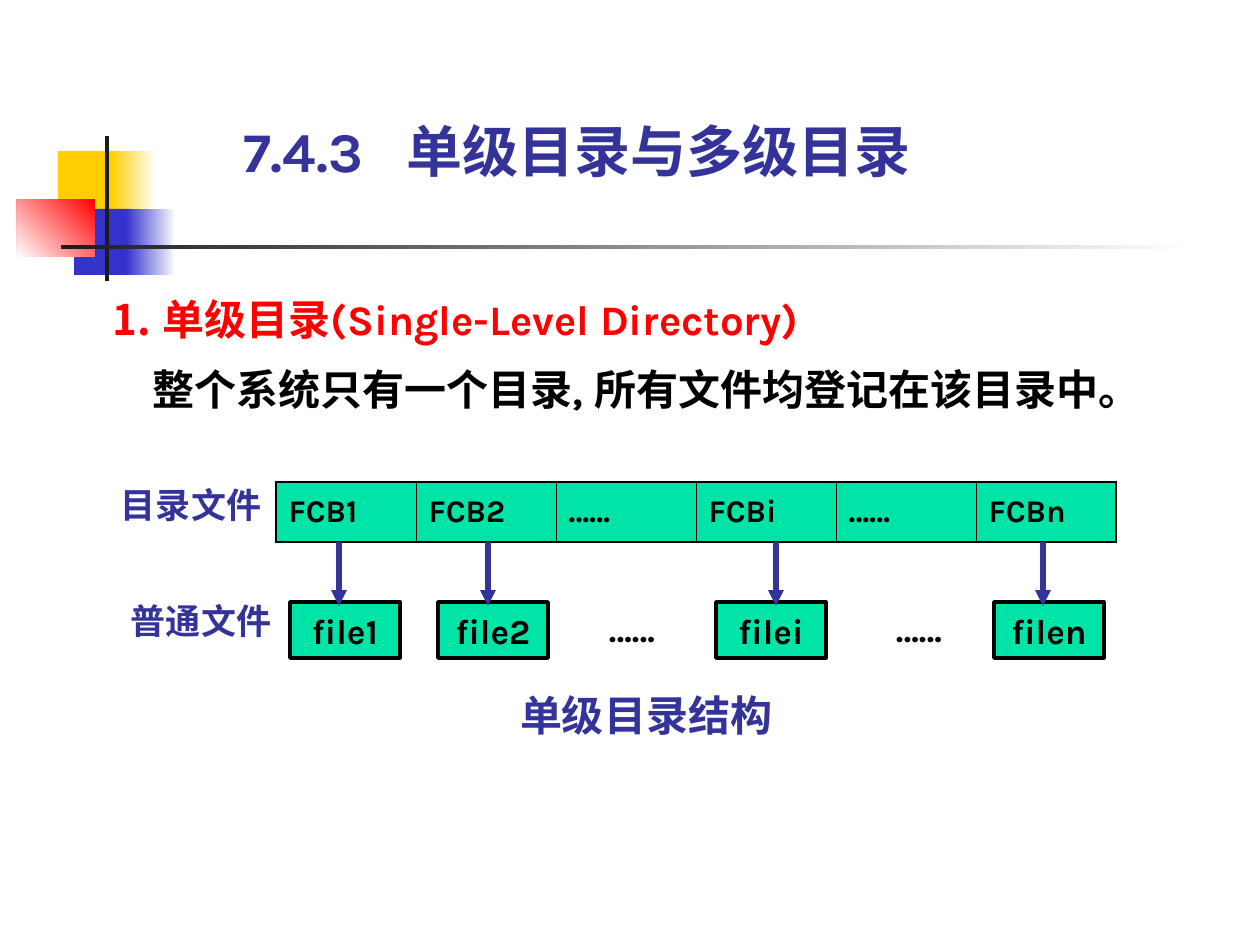
from dataclasses import dataclass
from lxml.etree import SubElement
from pptx import Presentation
from pptx.dml.color import RGBColor
from pptx.enum.shapes import MSO_CONNECTOR, MSO_SHAPE
from pptx.enum.text import MSO_ANCHOR, PP_ALIGN
from pptx.oxml.ns import qn
from pptx.util import Pt

SCALE = 914400 / 126  # EMU in one px


@dataclass(frozen=True)
class Theme:
    font: str = "Karla"
    navy: str = "333399"
    red: str = "FF0000"
    black: str = "000000"
    white: str = "FFFFFF"
    green: str = "00E4A8"
    gold: str = "FFCF01"
    blue: str = "3333CC"
    dark: str = "1C1C1C"
    title: int = 32
    body: int = 24
    label: int = 20
    cell: int = 18


T = Theme()


def px(n):
    return round(n * SCALE)


def rgb(code):
    return RGBColor.from_string(code)


def add_run(para, text, size, color):
    run = para.add_run()
    run.text = text
    font = run.font
    font.name, font.size, font.bold = T.font, Pt(size), True
    font.color.rgb = rgb(color)


def set_frame(frame, anchor, inset=(0, 0)):
    frame.word_wrap = True
    frame.vertical_anchor = anchor
    frame.margin_left = frame.margin_right = px(inset[0])
    frame.margin_top = frame.margin_bottom = px(inset[1])
    return frame.paragraphs[0]


def add_text(slide, box, text, size, color, anchor=MSO_ANCHOR.TOP):
    shape = slide.shapes.add_textbox(*map(px, box))
    para = set_frame(shape.text_frame, anchor)
    add_run(para, text, size, color)
    return shape.text_frame


def add_rect(slide, box, color, end=None, angle=180):
    """Plain fill, or a blend from color to end."""
    shape = slide.shapes.add_shape(MSO_SHAPE.RECTANGLE, *map(px, box))
    shape.shadow.inherit = False
    shape.line.fill.background()
    if end is None:
        shape.fill.solid()
        shape.fill.fore_color.rgb = rgb(color)
    else:
        shape.fill.gradient()
        shape.fill.gradient_angle = angle
        for stop, code in zip(shape.fill.gradient_stops, (color, end)):
            stop.color.rgb = rgb(code)
    return shape


def add_file(slide, box, name):
    shape = add_rect(slide, box, T.green)
    shape.line.color.rgb = rgb(T.black)
    shape.line.width = Pt(2)
    para = set_frame(shape.text_frame, MSO_ANCHOR.MIDDLE, (13, 6))
    para.alignment = PP_ALIGN.CENTER
    add_run(para, name, T.label, T.black)


def add_arrow(slide, x, top, end):
    line = slide.shapes.add_connector(
        MSO_CONNECTOR.STRAIGHT, px(x), px(top), px(x), px(end))
    line.line.color.rgb = rgb(T.navy)
    line.line.width = Pt(3)
    SubElement(line.line._get_or_add_ln(), qn("a:tailEnd"), type="triangle")
    SubElement(line._element.spPr, qn("a:effectLst"))


def add_border(cell, side, width):
    props = cell._tc.get_or_add_tcPr()
    edge = SubElement(props, qn(f"a:ln{side}"), w=str(Pt(width)))
    fill = SubElement(edge, qn("a:solidFill"))
    SubElement(fill, qn("a:srgbClr"), val=T.black)


def add_row(slide, box, names):
    table = slide.shapes.add_table(1, len(names), *map(px, box)).table
    table.first_row = table.horz_banding = False
    last = len(names) - 1
    for i, name in enumerate(names):
        cell = table.cell(0, i)
        thick = {"L": i == 0, "R": i == last, "T": True, "B": True}
        for side, outer in thick.items():
            add_border(cell, side, 1.08 if outer else 0.45)
        cell.fill.solid()
        cell.fill.fore_color.rgb = rgb(T.green)
        cell.vertical_anchor = MSO_ANCHOR.MIDDLE
        add_run(cell.text_frame.paragraphs[0], name, T.cell, T.black)


def add_motif(slide):
    add_rect(slide, (58, 151, 60, 66), T.gold)
    add_rect(slide, (111, 151, 45, 66), T.white, T.gold)
    add_rect(slide, (74, 209, 58, 66), T.blue)
    add_rect(slide, (126, 209, 50, 66), T.white, T.blue)
    add_rect(slide, (17, 199, 78, 58), T.red, T.white, 225)
    add_rect(slide, (105, 136, 4, 145), T.dark)
    add_rect(slide, (61, 245, 1134, 4), T.white, T.dark)


def add_title(slide):
    frame = add_text(slide, (243, 125, 724, 60), "7.4.3\t单级目录与多级目录",
                     T.title, T.navy, MSO_ANCHOR.BOTTOM)
    para = frame.paragraphs[0]
    para.line_spacing = 0.9
    tabs = SubElement(para._p.get_or_add_pPr(), qn("a:tabLst"))
    SubElement(tabs, qn("a:tab"), pos=str(px(163)), algn="l")


def add_body(slide):
    frame = add_text(slide, (113, 273, 1072, 141),
                     "单级目录(Single-Level Directory)",
                     T.body, T.red, MSO_ANCHOR.MIDDLE)
    head, note = frame.paragraphs[0], frame.add_paragraph()
    add_run(note, "整个系统只有一个目录, 所有文件均登记在该目录中。", T.body, T.black)
    for para in (head, note):
        para.line_spacing = 1.4
    # Numbered heading with a hanging indent
    props = head._p.get_or_add_pPr()
    props.set("marL", str(px(50)))
    props.set("indent", str(-px(50)))
    tint = SubElement(props, qn("a:buClr"))
    SubElement(tint, qn("a:srgbClr"), val=T.red)
    SubElement(props, qn("a:buAutoNum"), type="arabicPeriod")
    # Indented sentence
    note._p.get_or_add_pPr().set("marL", str(px(40)))


def add_files(slide):
    add_row(slide, (276, 482, 840, 60),
            ("FCB1", "FCB2", "……", "FCBi", "……", "FCBn"))
    files = {"file1": 290, "file2": 438, "filei": 716, "filen": 994}
    for name, left in files.items():
        add_file(slide, (left, 602, 110, 56), name)
    for left in (577, 864):
        frame = add_text(slide, (left, 601, 110, 56), "……",
                         T.label, T.black, MSO_ANCHOR.MIDDLE)
        frame.paragraphs[0].alignment = PP_ALIGN.CENTER
    for x in (339, 488, 776, 1043):
        add_arrow(slide, x, 542, 606)


def main():
    deck = Presentation()
    deck.slide_width, deck.slide_height = px(1260), px(945)
    slide = deck.slides.add_slide(deck.slide_layouts[6])
    add_motif(slide)
    add_title(slide)
    add_body(slide)
    add_files(slide)
    # Row labels and caption
    add_text(slide, (121, 483, 149, 42), "目录文件", T.label, T.navy)
    add_text(slide, (131, 599, 149, 42), "普通文件", T.label, T.navy)
    add_text(slide, (520, 690, 268, 50), "单级目录结构", T.body, T.navy)
    deck.save("out.pptx")


if __name__ == "__main__":
    main()
